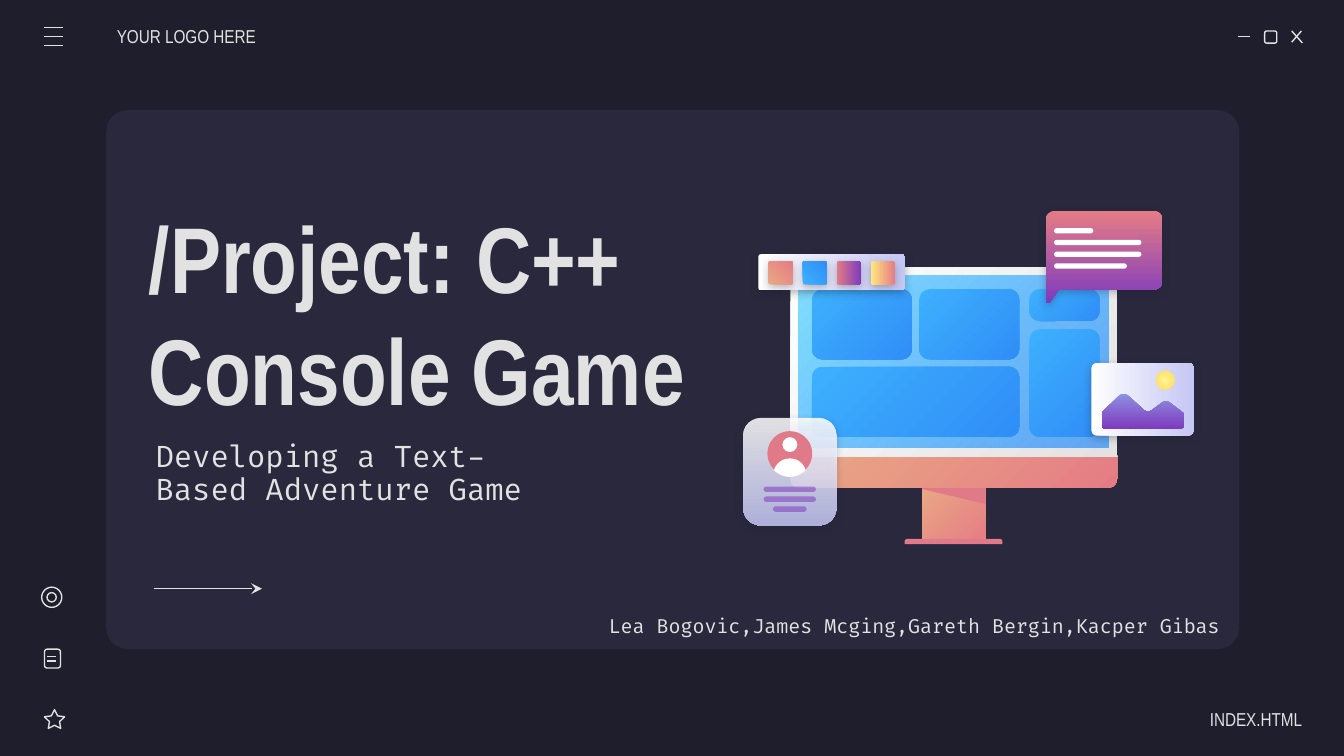
from lxml import etree
from pptx import Presentation
from pptx.dml.color import RGBColor
from pptx.enum import shapes, text
from pptx.oxml import ns
from pptx.util import Pt

NIGHT = RGBColor(0x1E, 0x1E, 0x2C)
PANEL = RGBColor(0x29, 0x28, 0x3D)
PALE = RGBColor(0xE2, 0xE2, 0xE2)
WHITE = RGBColor(0xFF, 0xFF, 0xFF)
LILAC = RGBColor(0xC5, 0xC7, 0xF4)
MAUVE = RGBColor(0x8D, 0x90, 0xE1)
PURPLE = RGBColor(0x7E, 0x3B, 0xBE)
PEACH = RGBColor(0xE9, 0xA9, 0x84)
CORAL = RGBColor(0xE5, 0x7C, 0x85)
ROSE = RGBColor(0xE0, 0x7A, 0x88)
AQUA = RGBColor(0x80, 0xDF, 0xFF)
AZURE = RGBColor(0x31, 0x8F, 0xFA)
SKY = RGBColor(0x3D, 0xB0, 0xFD)
BLUE = RGBColor(0x30, 0x8E, 0xF7)
LEMON = RGBColor(0xFF, 0xF6, 0x8E)
GOLD = RGBColor(0xFF, 0xD9, 0x66)
YELLOW = RGBColor(0xFF, 0xEA, 0x7D)

KIND = shapes.MSO_SHAPE
RECT, ROUND, OVAL = KIND.RECTANGLE, KIND.ROUNDED_RECTANGLE, KIND.OVAL
TAB, STAR = KIND.ROUND_2_SAME_RECTANGLE, KIND.STAR_5_POINT

WARM = {"cols": (PEACH, CORAL), "ang": 45}
COOL = {"cols": (SKY, BLUE), "ang": 45}
DUSK = {"cols": (CORAL, PURPLE), "ang": 90}
DAWN = {"cols": (YELLOW, CORAL), "ang": 90}
PAPER = {"cols": (WHITE, LILAC), "ang": 90}
GLASS = {"cols": (WHITE, LILAC), "ang": 90, "alpha": (86, 86)}
SCREEN = {"cols": (AQUA, AZURE), "ang": 45, "alpha": (100, 72)}
FRAME = {"cols": (WHITE, PALE), "ang": 45}
HILL = {"cols": (MAUVE, PURPLE), "ang": 90}
SUN = {"cols": (LEMON, GOLD), "ang": None}
HAZE = {"cols": (PURPLE,), "alpha": (54,)}

TEXTS = [
    ("/Project: C++ Console Game", (72.7, 103.7, 321.8, 126.7), "Arial Narrow", 50, {}),
    ("Developing a Text-Based Adventure Game", (76.3, 237.6, 233.3, 33.1), "Fira Code", 16, {}),
    ("YOUR LOGO HERE", (62.6, 8.8, 84.2, 21.6), "Arial Narrow", 10, {"margin_left": 0}),
    ("INDEX.HTML", (613.4, 374.4, 84.2, 21.6), "Arial Narrow", 10, {"margin_right": 0}),
    ("Lea Bogovic,James Mcging,Gareth Bergin,Kacper Gibas",
     (319, 322.6, 400, 25.2), "Fira Code", 10.5, {}),
]
LINES = [(23.5, 14.7 + 4.8 * i, 34, 14.7 + 4.8 * i) for i in range(3)]
LINES += [(25.2, y, 30.2, y) for y in (351.6, 354.2)]
LINES += [(663, 19.6, 669.6, 19.6), (692, 16.6, 697.7, 23), (697.2, 16.6, 692, 22.6)]
ARROW = (82.3, 315.4, 140.4, 315.4)
ICONS = [
    (ROUND, (677.5, 16.6, 6.5, 6.5), 1.1),
    (STAR, (23.8, 380.2, 10.8, 10.1), 0),
    (ROUND, (23.8, 347.8, 8.6, 10.1), 1.4),
    (OVAL, (22.3, 314.6, 10.8, 10.8), 0),
    (OVAL, (25.2, 317.5, 5, 5), 0),
]
TILES = [(435, 155, 53.5, 37.5), (435, 196.5, 111, 37.5), (492.5, 155, 53.5, 37.5),
         (551.5, 155, 37.5, 17), (551.5, 176.5, 37.5, 57.5)]
SHADE = [(494, 260), (494, 262), (528, 270), (528, 260)]
BUBBLE = [(565, 113), (562.5, 113, 560.2, 115.2, 560.2, 118), (560.2, 161.2),
          (560.2, 162.2, 561.6, 162.4, 562.5, 162), (567.4, 155), (618.5, 155),
          (621, 155, 622.8, 153, 622.8, 150.5), (622.8, 118),
          (622.8, 115.2, 621, 113, 618.5, 113)]
TORSO = [(423.2, 245.6), (419, 245.6, 415.5, 248.4, 414.7, 252),
         (417, 254.2, 420, 255.5, 423.2, 255.5), (426.4, 255.5, 429.3, 254.2, 431.6, 252),
         (430.8, 248.4, 427.3, 245.6, 423.2, 245.6)]
PEAKS = [(602, 211), (601, 211, 600.4, 211.2, 599.8, 211.7), (591, 220.3),
         (590.6, 220.8, 590.4, 221.2, 590.4, 221.8), (590.4, 227.5),
         (590.4, 229, 591.2, 229.7, 592.6, 229.7), (631.6, 229.7),
         (633.2, 229.7, 634.3, 229, 634.3, 227.5), (634.3, 222.6),
         (634.3, 221.8, 634, 221.3, 633.5, 220.9), (626.4, 215.5),
         (625.2, 214.9, 623.8, 214.9, 622.6, 215.6), (617, 219.8),
         (615.5, 220.7, 614, 220.7, 612.7, 219.6), (604.2, 211.7),
         (603.6, 211.2, 602.8, 211, 602, 211)]
SWATCHES = [WARM, COOL, DUSK, DAWN]

show = Presentation()
show.slide_width, show.slide_height = Pt(720), Pt(405)
page = show.slides.add_slide(show.slide_layouts[6])
page.background.fill.solid()
page.background.fill.fore_color.rgb = NIGHT


def node(root, tag, **attrs):
    return etree.SubElement(root, ns.qn("a:" + tag), {k: str(v) for k, v in attrs.items()})


def paint(shape, cols, ang=0, alpha=()):
    fill, prop = shape.fill, shape._element.spPr
    if len(cols) == 1:
        fill.solid()
        fill.fore_color.rgb = cols[0]
    else:
        fill.gradient()
        for stop, col in zip(fill.gradient_stops, cols):
            stop.color.rgb = col
        if ang is None:
            lin = prop.find(".//" + ns.qn("a:lin"))
            ring = node(lin.getparent(), "path", path="circle")
            node(ring, "fillToRect", l=50000, t=50000, r=50000, b=50000)
            lin.getparent().remove(lin)
        else:
            fill.gradient_angle = 360 - ang
    for col, part in zip(list(prop.iter(ns.qn("a:srgbClr"))), alpha):
        node(col, "alpha", val=part * 1000)


def finish(shape, fill, glow=False):
    shape.shadow.inherit = False
    if fill:
        paint(shape, **(fill if isinstance(fill, dict) else {"cols": (fill,)}))
        shape.line.fill.background()
    else:
        shape.fill.background()
        shape.line.color.rgb, shape.line.width = PALE, Pt(0.75)
    if glow:
        root = shape._element.spPr.find(ns.qn("a:effectLst"))
        dark = node(root, "outerShdw", blurRad=Pt(4.5), dist=Pt(1.5), dir=5400000,
                    algn="bl", rotWithShape=0)
        node(node(dark, "srgbClr", val=NIGHT), "alpha", val=30000)
    return shape


def put(kind, box, fill=None, rad=0, glow=False, turn=0, low=False):
    shape = page.shapes.add_shape(kind, *map(Pt, box))
    if kind in (ROUND, TAB):
        shape.adjustments[0] = 0 if low else rad / min(box[2:])
    if low:
        shape.adjustments[1] = rad / min(box[2:])
    if kind == STAR:
        shape.adjustments[0] = 0.25
    shape.rotation = turn
    return finish(shape, fill, glow)


def draw(steps, fill, glow=False):
    dots = [steps[0]]
    for step in steps[1:]:
        if len(step) == 2:
            dots.append(step)
            continue
        hull = [dots[-1], step[:2], step[2:4], step[4:]]
        for t in (i / 8 for i in range(1, 9)):
            load = ((1 - t) ** 3, 3 * t * (1 - t) ** 2, 3 * t * t * (1 - t), t ** 3)
            dots.append(tuple(sum(w * p[k] for w, p in zip(load, hull)) for k in (0, 1)))
    dots = [(Pt(x), Pt(y)) for x, y in dots]
    pen = page.shapes.build_freeform(*dots[0])
    pen.add_line_segments(dots[1:], close=True)
    return finish(pen.convert_to_shape(), fill, glow)


def link(ends, head=False):
    line = page.shapes.add_connector(shapes.MSO_CONNECTOR.STRAIGHT, *map(Pt, ends))
    line.line.color.rgb, line.line.width = PALE, Pt(0.75)
    if head:
        node(line.line._ln, "tailEnd", type="stealth")
    node(line._element.spPr, "effectLst")


def write(words, box, face, size, edges):
    frame = page.shapes.add_textbox(*map(Pt, box)).text_frame
    form = {"word_wrap": True, "vertical_anchor": text.MSO_ANCHOR.MIDDLE}
    form.update({"margin_" + side: Pt(7.2) for side in ("left", "top", "right", "bottom")})
    for key, val in {**form, **edges}.items():
        setattr(frame, key, val)
    para = frame.paragraphs[0]
    para.line_spacing = 0.9 if size == 16 else 1.0
    para.alignment = text.PP_ALIGN.RIGHT if "margin_right" in edges else text.PP_ALIGN.LEFT
    run = para.add_run()
    run.text = words
    for key, val in {"name": face, "size": Pt(size), "bold": size == 50}.items():
        setattr(run.font, key, val)
    run.font.color.rgb = PALE


put(ROUND, (56.9, 59, 607, 288.7), PANEL, 11.5)
for item in TEXTS:
    write(*item)
for ends in LINES:
    link(ends)
link(ARROW, True)
for kind, box, rad in ICONS:
    put(kind, box, None, rad)

put(RECT, (494, 260, 34, 31), WARM)
put(TAB, (484.6, 288.7, 52.4, 2.9), ROSE, 1.4)
draw(SHADE, ROSE)
put(TAB, (423.4, 244.1, 175, 17.3), WARM, 4.6, low=True)
put(TAB, (423.4, 143.3, 175, 101.5), FRAME, 4.6)
put(RECT, (427.7, 147.6, 166, 92.2), SCREEN)
for box in TILES:
    put(ROUND, box, COOL, 5.5)

draw(BUBBLE, DUSK, True)
for i, wide in enumerate((21, 46.8, 46.8, 39)):
    put(ROUND, (564.7, 122.2 + 6.3 * i, wide, 2.8), WHITE, 1.4)

put(ROUND, (398.2, 223.9, 49.9, 57.6), GLASS, 9.3, True)
put(OVAL, (411.1, 231, 24, 24), ROSE)
put(OVAL, (419.2, 234.2, 8, 8), WHITE)
draw(TORSO, WHITE)
for i, wide in enumerate((28, 28, 18)):
    put(ROUND, (423.1 - wide / 2, 260.7 + 5.3 * i, wide, 2.9), HAZE, 1.45)

put(ROUND, (592.6, 186.5, 38.9, 54.7), PAPER, 2.8, True, 270)
draw(PEAKS, HILL)
put(OVAL, (619.2, 198.6, 10.2, 10.2), SUN)

put(ROUND, (435.8, 106.6, 19.4, 78.5), PAPER, 1.4, True, 270)
for i, fill in enumerate(SWATCHES):
    put(ROUND, (412 + 18.25 * i, 139.7, 12.4, 13), fill, 0.9, True, 270)

show.save("out.pptx")
